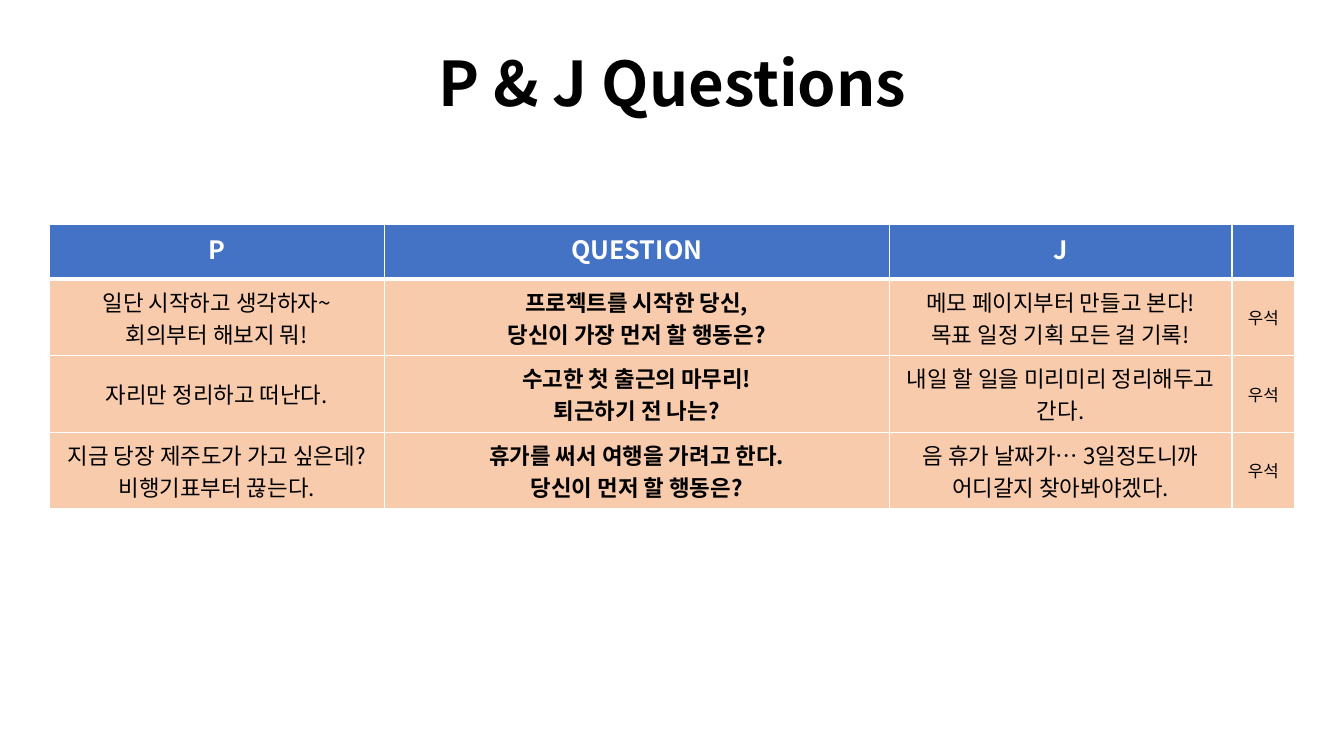
from lxml.etree import SubElement
from pptx import Presentation
from pptx.dml.color import RGBColor
from pptx.enum.text import MSO_ANCHOR, PP_ALIGN
from pptx.oxml.ns import qn
from pptx.util import Inches, Pt

FONT = "Noto Sans CJK KR"
BLACK = RGBColor(0x00, 0x00, 0x00)
WHITE = RGBColor(0xFF, 0xFF, 0xFF)
BLUE = RGBColor(0x44, 0x72, 0xC4)
PEACH = RGBColor(0xF8, 0xCB, 0xAD)

COL_WIDTHS = [3.32, 5.01, 3.4, 0.62]
HEADER_HEIGHT, ROW_HEIGHT = 0.54, 0.76
HEADER = ["P", "QUESTION", "J", ""]
QUESTIONS = [
    ["일단 시작하고 생각하자~\n회의부터 해보지 뭐!",
     "프로젝트를 시작한 당신,\n당신이 가장 먼저 할 행동은?",
     "메모 페이지부터 만들고 본다!\n목표 일정 기획 모든 걸 기록!",
     "우석"],
    ["자리만 정리하고 떠난다.",
     "수고한 첫 출근의 마무리!\n퇴근하기 전 나는?",
     "내일 할 일을 미리미리 정리해두고 간다.",
     "우석"],
    ["지금 당장 제주도가 가고 싶은데? 비행기표부터 끊는다.",
     "휴가를 써서 여행을 가려고 한다.\n당신이 먼저 할 행동은?",
     "음 휴가 날짜가… 3일정도니까 어디갈지 찾아봐야겠다.",
     "우석"],
]

HEADER_FORMAT = {"size": Pt(18), "bold": True}
COLUMN_FORMATS = [
    {"size": Pt(16), "bold": False},
    {"size": Pt(16), "bold": True},
    {"size": Pt(16), "bold": False},
    {"size": Pt(12), "bold": False},
]


def write_text(tf, text, color, font_format, line_spacing=None):
    """Fill a text frame with one centred paragraph per line of text."""
    for i, line in enumerate(text.split("\n")):
        p = tf.paragraphs[0] if i == 0 else tf.add_paragraph()
        p.alignment = PP_ALIGN.CENTER
        p.line_spacing = line_spacing
        if not line:
            continue
        r = p.add_run()
        r.text = line
        r.font.color.rgb = color
        r.font.name = FONT
        for name, value in font_format.items():
            setattr(r.font, name, value)
        SubElement(r.font._element, qn("a:ea"), typeface=FONT)


def set_borders(cell, widths):
    """Draw white borders; widths maps L, R, T and B to points."""
    tcPr = cell._tc.get_or_add_tcPr()
    for side, width in widths.items():
        ln = SubElement(tcPr, qn(f"a:ln{side}"), w=str(Pt(width)))
        fill = SubElement(ln, qn("a:solidFill"))
        SubElement(fill, qn("a:srgbClr"), val=str(WHITE))


def add_title(s, left, top, width, height):
    sp = s.shapes.add_textbox(Inches(left), Inches(top), Inches(width), Inches(height))
    tf = sp.text_frame
    tf.word_wrap = True
    tf.vertical_anchor = MSO_ANCHOR.MIDDLE
    write_text(tf, "P & J Questions", BLACK, {"size": Pt(44), "bold": True}, 0.9)


def add_question_table(s, left, top):
    rows = [HEADER] + QUESTIONS
    heights = [HEADER_HEIGHT] + [ROW_HEIGHT] * len(QUESTIONS)
    table = s.shapes.add_table(
        len(rows), len(COL_WIDTHS), Inches(left), Inches(top),
        Inches(sum(COL_WIDTHS)), Inches(sum(heights))).table
    for column, width in zip(table.columns, COL_WIDTHS):
        column.width = Inches(width)
    for row, height in zip(table.rows, heights):
        row.height = Inches(height)
    for i, texts in enumerate(rows):
        is_header = i == 0
        for j, text in enumerate(texts):
            cell = table.cell(i, j)
            set_borders(cell, {"L": 1, "R": 1, "T": 3 if i == 1 else 1,
                               "B": 3 if is_header else 1})
            cell.fill.solid()
            cell.fill.fore_color.rgb = BLUE if is_header else PEACH
            cell.vertical_anchor = MSO_ANCHOR.TOP if is_header else MSO_ANCHOR.MIDDLE
            write_text(cell.text_frame, text, WHITE if is_header else BLACK,
                       HEADER_FORMAT if is_header else COLUMN_FORMATS[j])


def main():
    prs = Presentation()
    prs.slide_width, prs.slide_height = Inches(13.33), Inches(7.5)
    s = prs.slides.add_slide(prs.slide_layouts[6])
    add_title(s, 0.92, 0.13, 11.5, 1.45)
    add_question_table(s, 0.49, 2.23)
    prs.save("out.pptx")


if __name__ == "__main__":
    main()
